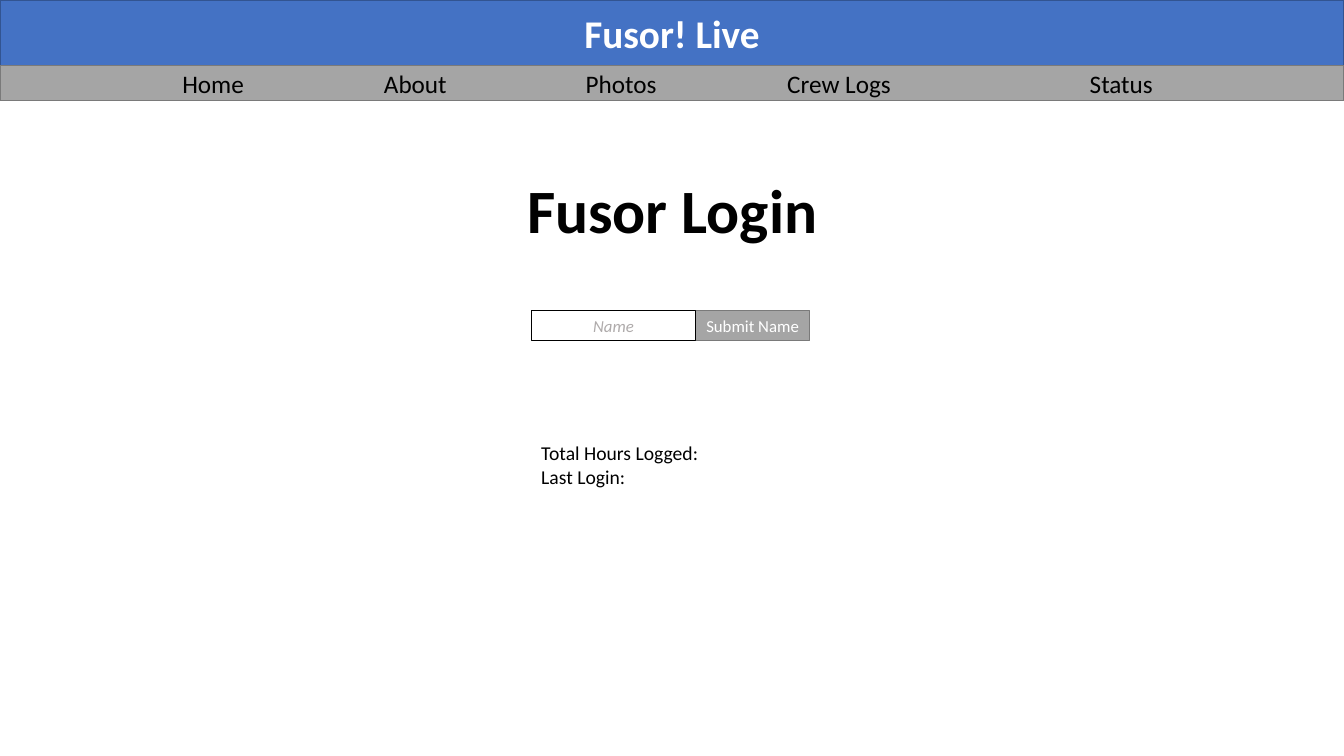
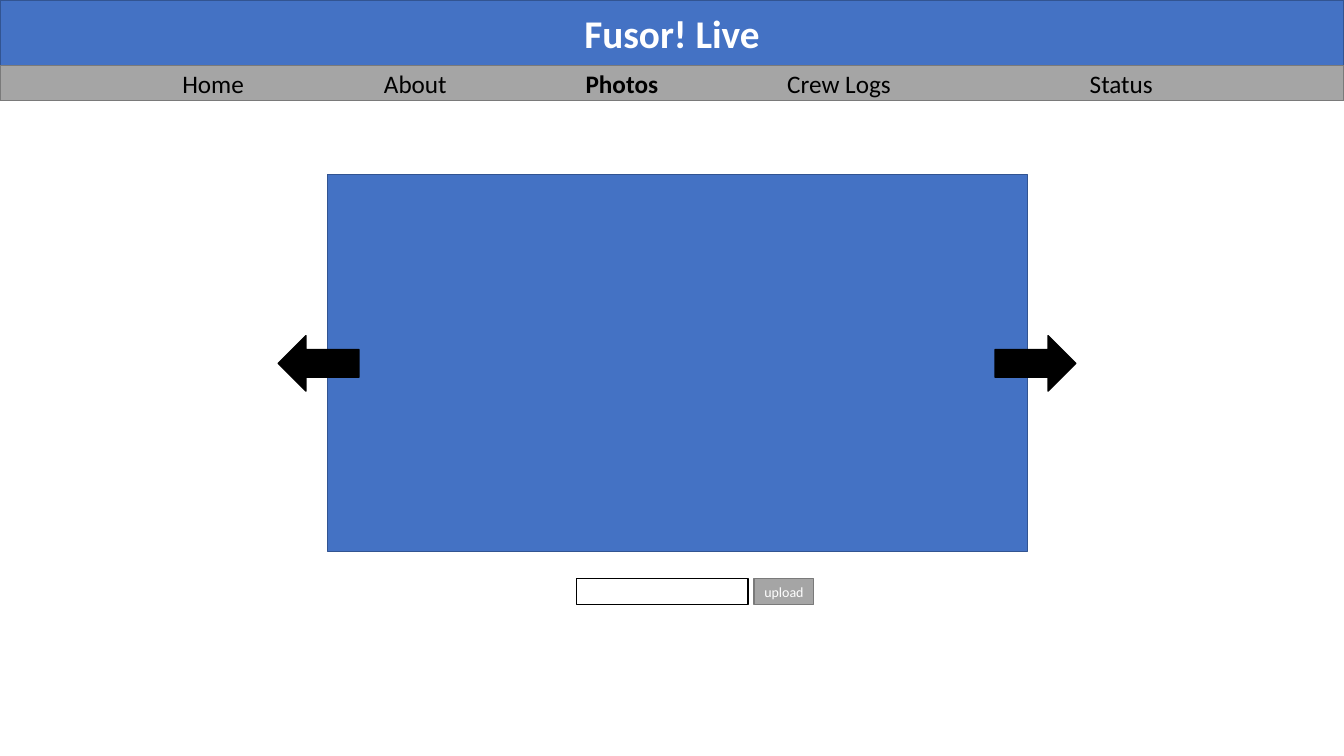
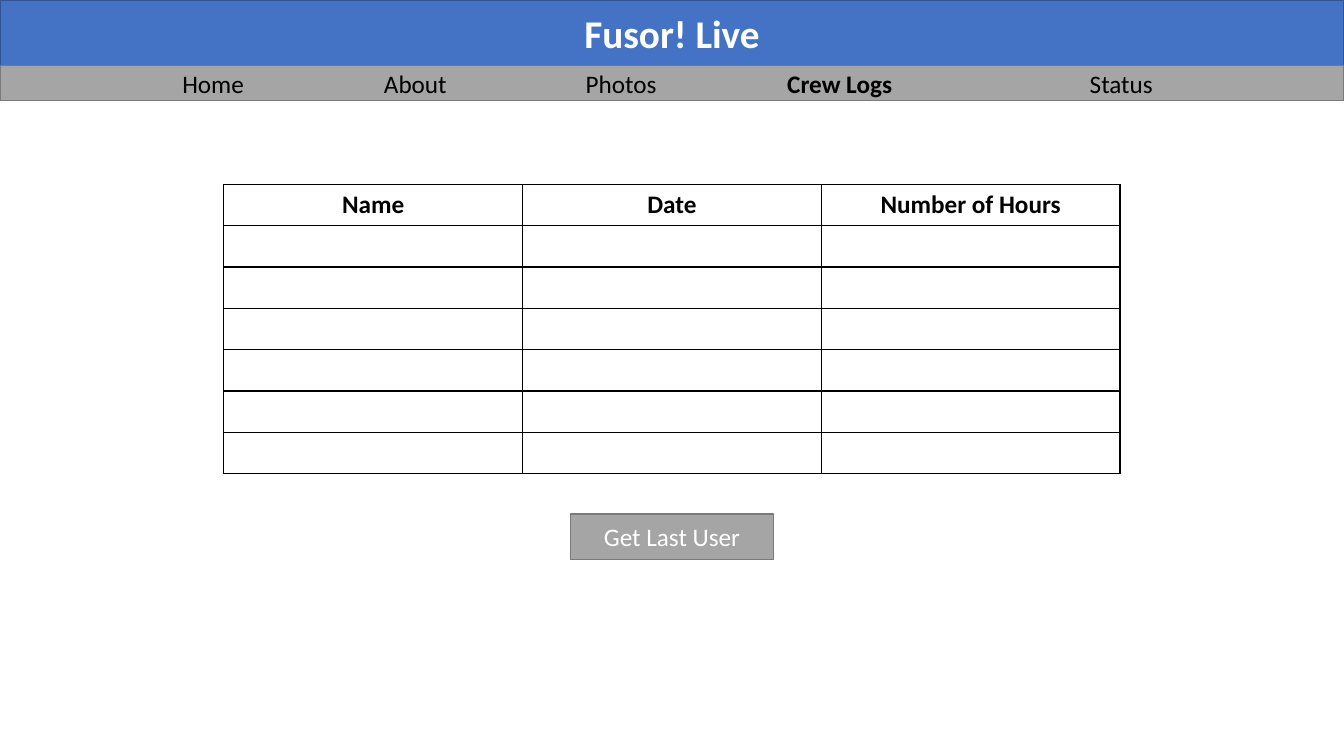
from lxml import etree
from pptx import Presentation
from pptx.dml.color import RGBColor
from pptx.enum import shapes, text
from pptx.oxml import ns
from pptx import util as u

PX = 9144
WIDTH, HEIGHT = 1333, 750
FONT = "Calibri"
BLUE, BLUE_EDGE = "4472C4", "325491"
GRAY, GRAY_EDGE = "A5A5A5", "7A7A7A"
BLACK, WHITE, HINT = "000000", "FFFFFF", "AFABAB"
LEFT, CENTER = text.PP_ALIGN.LEFT, text.PP_ALIGN.CENTER
RECT = shapes.MSO_SHAPE.RECTANGLE
NAV_STOPS = {"Home": 0, "About": 200, "Photos": 400, "Crew Logs": 600, "Status": 900}


def px(*values):
    return [u.Emu(v * PX) for v in values]


def color(value):
    return RGBColor.from_string(value)


def style(p, size, ink, bold=False, italic=False, align=LEFT):
    p.alignment = align
    p.font.name, p.font.size = FONT, u.Pt(size)
    p.font.bold, p.font.italic = bold, italic
    p.font.color.rgb = color(ink)


def add_box(slide, at, fill, edge, kind=RECT):
    sp = slide.shapes.add_shape(kind, *px(*at))
    sp.shadow.inherit = False
    sp.fill.solid()
    sp.fill.fore_color.rgb = color(fill)
    sp.line.color.rgb = color(edge)
    sp.line.width = u.Pt(1)
    return sp


def add_caption(sp, caption, size, ink, wrap=True, **look):
    tf = sp.text_frame
    tf.text = caption
    tf.word_wrap = wrap
    tf.vertical_anchor = text.MSO_ANCHOR.MIDDLE
    style(tf.paragraphs[0], size, ink, align=CENTER, **look)


def add_button(slide, at, caption, size, wrap=True):
    add_caption(add_box(slide, at, GRAY, GRAY_EDGE), caption, size, WHITE, wrap)


def add_text(slide, at, lines, size, wrap=True, **look):
    tf = slide.shapes.add_textbox(*px(*at)).text_frame
    tf.word_wrap = wrap
    tf.text = "\n".join(lines)
    for p in tf.paragraphs:
        style(p, size, BLACK, **look)
    return tf


def add_nav(slide, current):
    p = add_text(slide, (171, 63, 1106, 40), [""], 18).paragraphs[0]
    tabs = etree.Element(ns.qn("a:tabLst"))
    for name, stop in NAV_STOPS.items():
        r = p.add_run()
        r.text = "\t" + name if stop else name
        if name == current:
            r.font.bold = True
        if stop:
            etree.SubElement(tabs, ns.qn("a:tab"), pos=str(stop * PX), algn="l")
    p._p.get_or_add_pPr().insert(0, tabs)


def add_page(prs, current=None):
    slide = prs.slides.add_slide(prs.slide_layouts[6])
    banner = add_box(slide, (0, 0, WIDTH, 65), BLUE, BLUE_EDGE)
    add_caption(banner, "Fusor! Live", 28, WHITE, bold=True)
    add_box(slide, (0, 65, WIDTH, 35), GRAY, GRAY_EDGE)
    add_nav(slide, current)
    return slide


def add_borders(cell):
    tcPr = cell._tc.get_or_add_tcPr()
    for side in ("lnL", "lnR", "lnT", "lnB"):
        ln = etree.SubElement(tcPr, ns.qn("a:" + side), w=str(u.Pt(1)))
        fill = etree.SubElement(ln, ns.qn("a:solidFill"))
        etree.SubElement(fill, ns.qn("a:srgbClr"), val=BLACK)


def add_log_table(slide, at, headings, rows):
    table = slide.shapes.add_table(rows, len(headings), *px(*at)).table
    table.first_row = table.horz_banding = False
    for row in table.rows:
        row.height = px(41)[0]
    for cell in table.iter_cells():
        add_borders(cell)
        cell.fill.background()
    for i, heading in enumerate(headings):
        cell = table.cell(0, i)
        cell.text = heading
        style(cell.text_frame.paragraphs[0], 18, BLACK, bold=True, align=CENTER)


def build_login(prs):
    slide = add_page(prs)
    add_text(slide, (466, 166, 402, 84), ["Fusor Login"], 44, bold=True, align=CENTER)
    add_button(slide, (690, 308, 113, 30), "Submit Name", 12, wrap=False)
    field = add_box(slide, (527, 308, 163, 30), WHITE, BLACK)
    add_caption(field, "Name", 12, HINT, italic=True)
    add_text(slide, (527, 433, 177, 57), ["Total Hours Logged:", "Last Login:"], 14, wrap=False)


def build_photos(prs):
    slide = add_page(prs, "Photos")
    add_box(slide, (325, 173, 694, 374), BLUE, BLUE_EDGE)
    add_box(slide, (987, 333, 80, 55), BLACK, BLACK, shapes.MSO_SHAPE.RIGHT_ARROW)
    add_box(slide, (276, 333, 80, 55), BLACK, BLACK, shapes.MSO_SHAPE.LEFT_ARROW)
    add_box(slide, (572, 574, 170, 26), WHITE, BLACK)
    add_button(slide, (748, 574, 59, 26), "upload", 10)


def build_crew_logs(prs):
    slide = add_page(prs, "Crew Logs")
    add_log_table(slide, (222, 183, 889, 287), ["Name", "Date", "Number of Hours"], 7)
    add_button(slide, (566, 510, 201, 45), "Get Last User", 18)


def main():
    prs = Presentation()
    prs.slide_width, prs.slide_height = px(WIDTH, HEIGHT)
    build_login(prs)
    build_photos(prs)
    build_crew_logs(prs)
    prs.save("out.pptx")


if __name__ == "__main__":
    main()
